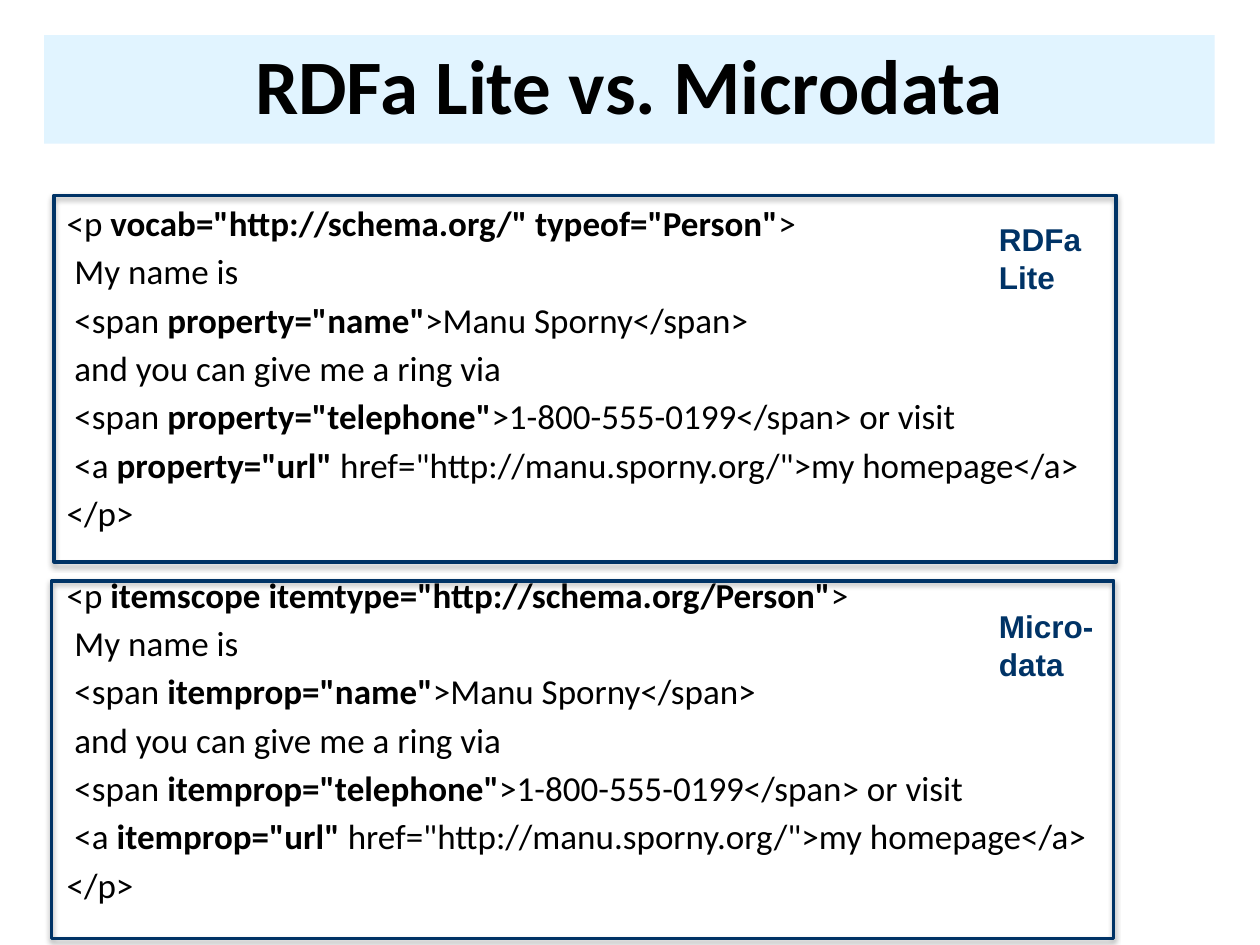
from lxml.etree import SubElement
from pptx import Presentation
from pptx.dml.color import RGBColor
from pptx.enum.shapes import MSO_SHAPE
from pptx.enum.text import MSO_ANCHOR, PP_ALIGN
from pptx.oxml.ns import qn
from pptx.util import Inches, Pt

BLACK = RGBColor(0x00, 0x00, 0x00)
NAVY = RGBColor(0x00, 0x33, 0x66)
PALE_BLUE = RGBColor(0xE1, 0xF4, 0xFF)


class MarkupSlide:
    """Style and drawing methods for a slide that compares markup samples."""

    code_font = "Calibri"
    label_font = "Arial"

    def __init__(self, prs):
        self.s = prs.slides.add_slide(prs.slide_layouts[6])

    def style(self, p, name, size, color, bold=None):
        p.font.name = name
        p.font.size = Pt(size)
        p.font.color.rgb = color
        p.font.bold = bold

    def rect(self, left, top, width, height):
        sp = self.s.shapes.add_shape(MSO_SHAPE.RECTANGLE, Inches(left), Inches(top),
                                     Inches(width), Inches(height))
        sp.shadow.inherit = False
        return sp

    def title(self, text):
        sp = self.rect(0.35, 0.28, 9.29, 0.86)
        sp.fill.solid()
        sp.fill.fore_color.rgb = PALE_BLUE
        sp.line.fill.background()
        tf = sp.text_frame
        tf.vertical_anchor = MSO_ANCHOR.MIDDLE
        p = tf.paragraphs[0]
        p.text = text
        p.alignment = PP_ALIGN.CENTER
        p.line_spacing = 0.9
        self.style(p, self.code_font, 44, BLACK, True)

    def frame(self, left, top, width, height):
        sp = self.rect(left, top, width, height)
        sp.fill.background()
        sp.line.color.rgb = NAVY
        sp.line.width = Pt(2)
        effects = sp._element.spPr.find(qn("a:effectLst"))
        shadow = SubElement(effects, qn("a:outerShdw"), blurRad=str(Pt(3.1)),
                            dist=str(Pt(1.8)), dir="5400000", rotWithShape="0")
        color = SubElement(shadow, qn("a:srgbClr"), val=str(BLACK))
        SubElement(color, qn("a:alpha"), val="35000")

    def text_box(self, left, top, width, height, wrap):
        sp = self.s.shapes.add_textbox(Inches(left), Inches(top), Inches(width), Inches(height))
        sp.text_frame.word_wrap = wrap
        return sp.text_frame

    def code(self, top, lines):
        tf = self.text_box(0.43, top, 9.45, 2.8, True)
        for i, parts in enumerate(lines):
            p = tf.add_paragraph() if i else tf.paragraphs[0]
            if i:
                p.space_before = Pt(3.6)
            self.style(p, self.code_font, 20, BLACK)
            for j, part in enumerate(parts):
                r = p.add_run()
                r.text = part
                r.font.bold = j % 2 == 1

    def label(self, top, width, lines):
        tf = self.text_box(7.83, top, width, 0.71, False)
        for i, line in enumerate(lines):
            p = tf.add_paragraph() if i else tf.paragraphs[0]
            p.text = line
            p.line_spacing = Pt(22)
            self.style(p, self.label_font, 18, NAVY, True)


def person_markup(opening, attribute):
    return [
        ("<p ", opening, ">"),
        (" My name is",),
        (" <span ", f'{attribute}="name"', ">Manu Sporny</span>"),
        (" and you can give me a ring via",),
        (" <span ", f'{attribute}="telephone"', ">1-800-555-0199</span> or visit"),
        (" <a ", f'{attribute}="url" ', 'href="http://manu.sporny.org/">my homepage</a>'),
        ("</p>",),
    ]


def main():
    prs = Presentation()
    prs.slide_width = Inches(10)
    prs.slide_height = Inches(7.5)

    slide = MarkupSlide(prs)
    slide.title("RDFa Lite vs. Microdata")
    slide.code(1.55, person_markup('vocab="http://schema.org/" typeof="Person"', "property"))
    slide.code(4.5, person_markup('itemscope itemtype="http://schema.org/Person"', "itemprop"))
    slide.frame(0.43, 1.55, 8.43, 2.91)
    slide.frame(0.41, 4.61, 8.43, 2.84)
    slide.label(1.69, 0.86, ["RDFa", "Lite"])
    slide.label(4.76, 0.96, ["Micro-", "data"])

    prs.save("out.pptx")


if __name__ == "__main__":
    main()
